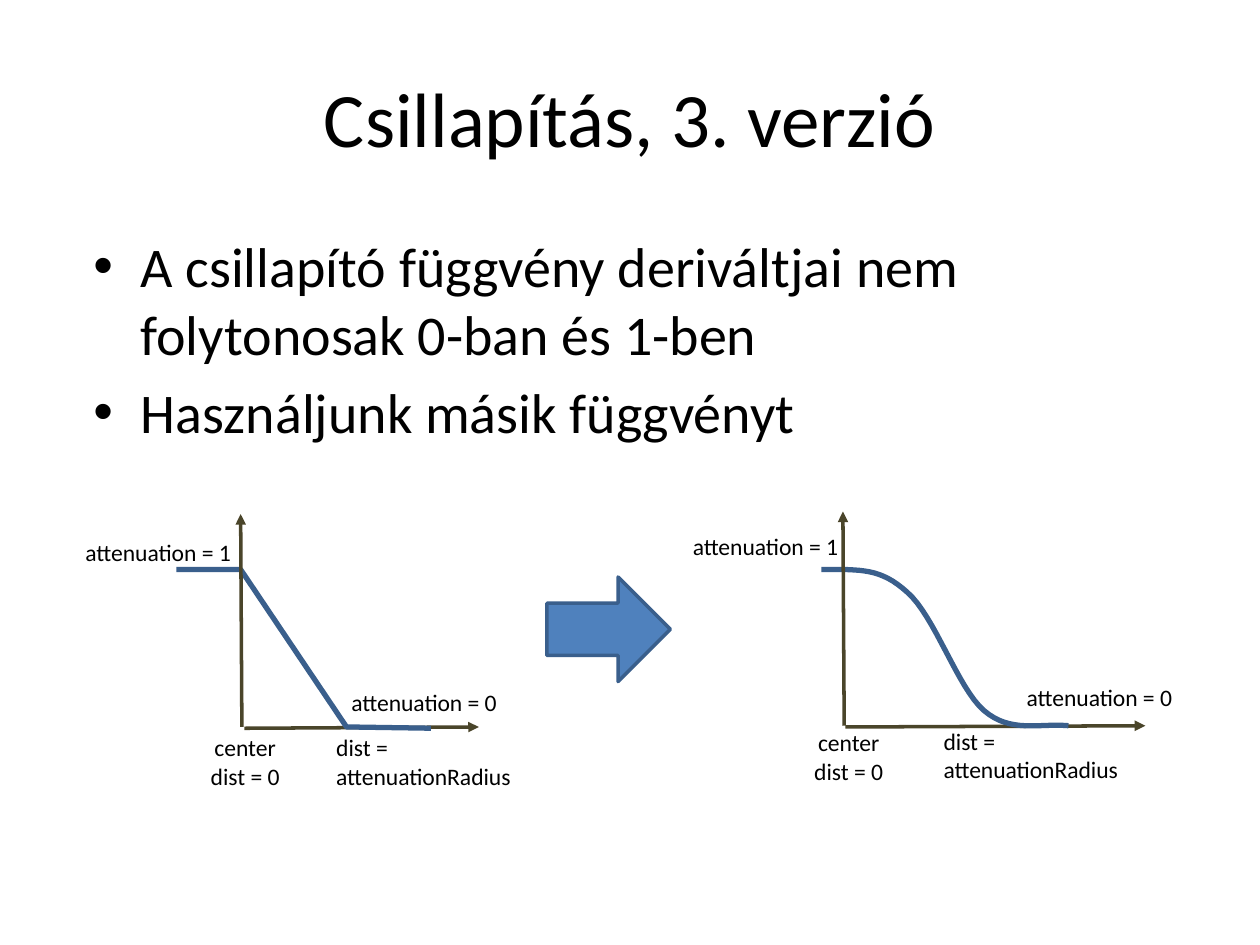
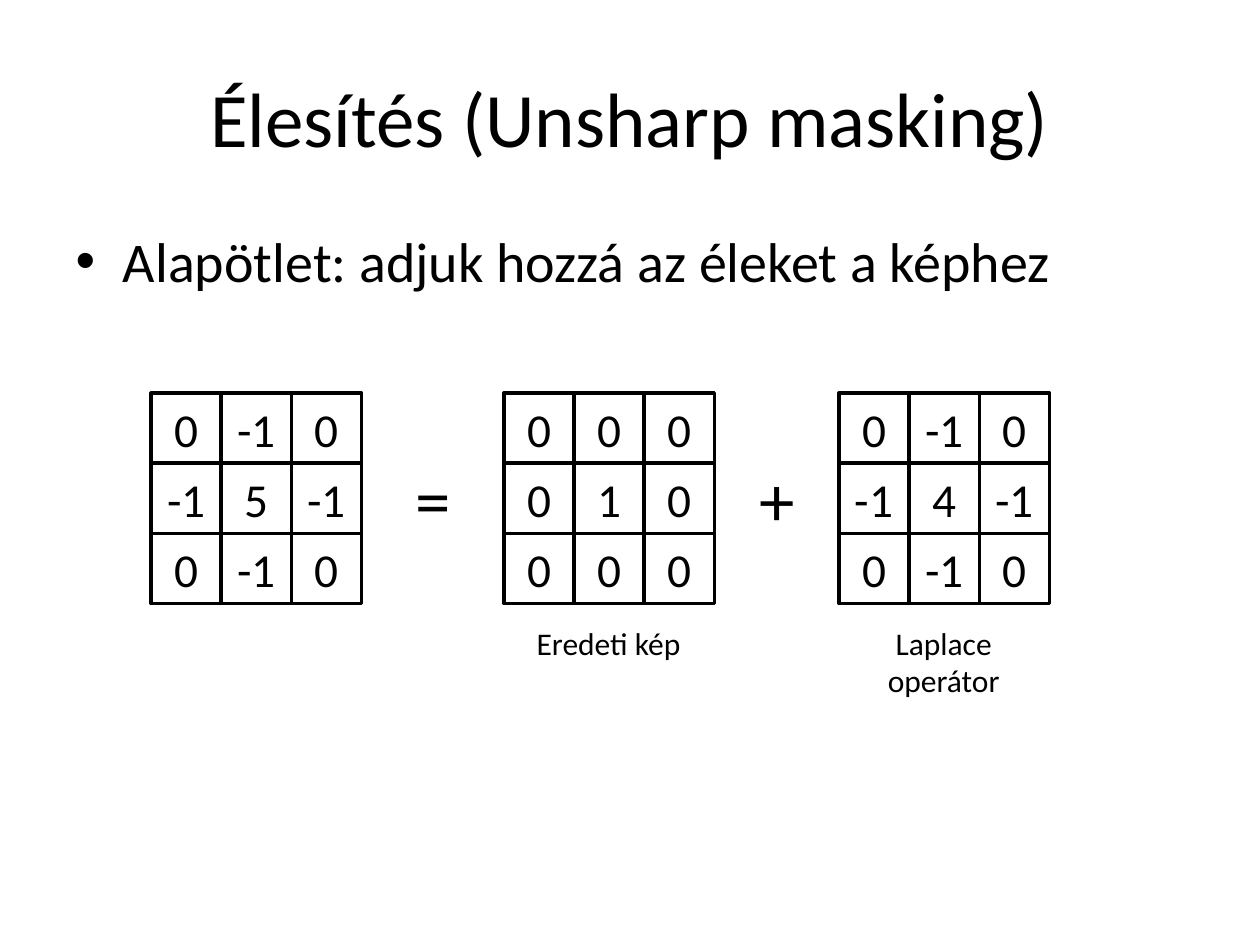
from dataclasses import dataclass

from lxml import etree
from pptx import Presentation
from pptx.dml.color import RGBColor
from pptx.enum import shapes, text
from pptx.oxml import ns
from pptx.util import Inches, Pt

FONT = "Calibri"
BLACK = RGBColor(0x00, 0x00, 0x00)
AXIS_BROWN = RGBColor(0x4A, 0x45, 0x2A)
CURVE_BLUE = RGBColor(0x3A, 0x5F, 0x8C)
ARROW_BLUE = RGBColor(0x4F, 0x81, 0xBD)

CENTER = text.PP_ALIGN.CENTER
LEFT = text.PP_ALIGN.LEFT
JUSTIFY = text.PP_ALIGN.JUSTIFY

TITLE_AREA = (0.5, 0.3, 9, 1.25)
CURVE_STEPS = 16
MATRIX_SIDE = 1.67
MATRIX_TOP = 3.12

Point = tuple[float, float]
Area = tuple[float, float, float, float]


@dataclass
class Label:
    lines: list[str]
    area: Area
    size: float = 13.5
    align: text.PP_ALIGN = CENTER


@dataclass
class Plot:
    """An attenuation graph: two axes, a curve and its labels."""
    x_axis: tuple[Point, Point]
    y_axis: tuple[Point, Point]
    curve: list[Point]
    center_at: Point
    radius_area: Area
    one_at: Point
    zero_at: Point

    def labels(self) -> list[Label]:
        return [
            Label(["center", "dist = 0"], (*self.center_at, 1.39, 0.56)),
            Label(["dist =", "attenuationRadius"], self.radius_area, align=JUSTIFY),
            Label(["attenuation = 1"], (*self.one_at, 1.39, 0.33)),
            Label(["attenuation = 0"], (*self.zero_at, 1.39, 0.33)),
        ]


@dataclass
class Matrix:
    left: float
    rows: list[list[int]]


def smooth_curve(anchors: list[Point]) -> list[Point]:
    """Sample a chain of cubic Bézier segments (start, then three points each)."""
    points = [anchors[0]]
    for first in range(0, len(anchors) - 1, 3):
        segment = anchors[first:first + 4]
        for step in range(1, CURVE_STEPS + 1):
            t = step / CURVE_STEPS
            weights = ((1 - t) ** 3, 3 * t * (1 - t) ** 2, 3 * t * t * (1 - t), t ** 3)
            points.append((sum(w * x for w, (x, _) in zip(weights, segment)),
                           sum(w * y for w, (_, y) in zip(weights, segment))))
    return points


PLOTS = [
    Plot(x_axis=((1.94, 5.78), (3.8, 5.77)), y_axis=((1.92, 5.77), (1.91, 4.08)),
         curve=[(3.42, 5.78), (2.75, 5.77), (1.91, 4.52), (1.4, 4.52)],
         center_at=(1.25, 5.77), radius_area=(2.57, 5.77, 1.65, 0.56),
         one_at=(0.56, 4.22), zero_at=(2.67, 5.41)),
    Plot(x_axis=((6.71, 5.77), (9.09, 5.76)), y_axis=((6.7, 5.76), (6.69, 4.06)),
         curve=smooth_curve([
             (8.48, 5.76), (8.24, 5.74), (8.02, 5.82), (7.81, 5.64), (7.6, 5.46),
             (7.42, 4.89), (7.2, 4.7), (6.99, 4.51), (6.84, 4.52), (6.52, 4.52)]),
         center_at=(6.04, 5.73), radius_area=(7.39, 5.72, 1.72, 0.56),
         one_at=(5.38, 4.17), zero_at=(8.03, 5.37)),
]

MATRICES = [
    Matrix(1.2, [[0, -1, 0], [-1, 5, -1], [0, -1, 0]]),
    Matrix(4, [[0, 0, 0], [0, 1, 0], [0, 0, 0]]),
    Matrix(6.66, [[0, -1, 0], [-1, 4, -1], [0, -1, 0]]),
]

MATRIX_LABELS = [
    Label(["="], (3.2, 3.57, 0.57, 0.78), 40.5, LEFT),
    Label(["+"], (5.93, 3.57, 0.57, 0.78), 40.5, LEFT),
    Label(["Eredeti kép"], (4.16, 4.9, 1.34, 0.71), 18),
    Label(["Laplace operátor"], (6.82, 4.9, 1.34, 0.71), 18),
]


def set_lines(frame, lines: list[str], size: float, align: text.PP_ALIGN) -> None:
    frame.text = "\n".join(lines)
    for para in frame.paragraphs:
        para.alignment = align
        para.font.name = FONT
        para.font.size = Pt(size)
        para.font.color.rgb = BLACK


def set_line(shape, color: RGBColor, width: float) -> None:
    shape.line.color.rgb = color
    shape.line.width = Pt(width)


def place(shape, area: Area) -> None:
    shape.left, shape.top, shape.width, shape.height = map(Inches, area)


def add_page(deck, title: str, bullets: list[str], body_area: Area):
    page = deck.slides.add_slide(deck.slide_layouts[1])
    heading, body = page.placeholders
    place(heading, TITLE_AREA)
    set_lines(heading.text_frame, [title], 44, CENTER)
    heading.text_frame.vertical_anchor = text.MSO_ANCHOR.MIDDLE
    place(body, body_area)
    set_lines(body.text_frame, bullets, 32, LEFT)
    body.text_frame.paragraphs[0].space_before = Pt(0)
    return page


def add_label(page, label: Label) -> None:
    box = page.shapes.add_textbox(*map(Inches, label.area))
    box.text_frame.word_wrap = True
    box.text_frame.auto_size = text.MSO_AUTO_SIZE.SHAPE_TO_FIT_TEXT
    set_lines(box.text_frame, label.lines, label.size, label.align)


def add_axis(page, start: Point, end: Point) -> None:
    axis = page.shapes.add_connector(
        shapes.MSO_CONNECTOR.STRAIGHT, *map(Inches, (*start, *end)))
    set_line(axis, AXIS_BROWN, 2)
    etree.SubElement(axis.line._get_or_add_ln(), ns.qn("a:tailEnd"), type="triangle")
    etree.SubElement(axis._element.spPr, ns.qn("a:effectLst"))


def add_curve(page, points: list[Point]) -> None:
    start, *rest = [(Inches(x), Inches(y)) for x, y in points]
    builder = page.shapes.build_freeform(*start)
    builder.add_line_segments(rest, close=False)
    curve = builder.convert_to_shape()
    curve.shadow.inherit = False
    curve.fill.background()
    set_line(curve, CURVE_BLUE, 3)


def add_plot(page, plot: Plot) -> None:
    add_axis(page, *plot.x_axis)
    add_curve(page, plot.curve)
    for label in plot.labels():
        add_label(page, label)
    add_axis(page, *plot.y_axis)


def add_matrix(page, matrix: Matrix) -> None:
    group = page.shapes.add_group_shape()
    side = Inches(MATRIX_SIDE) // 3
    for row, values in enumerate(matrix.rows):
        for column, value in enumerate(values):
            cell = group.shapes.add_shape(
                shapes.MSO_SHAPE.RECTANGLE, Inches(matrix.left) + column * side,
                Inches(MATRIX_TOP) + row * side, side, side)
            cell.shadow.inherit = False
            cell.fill.background()
            set_line(cell, BLACK, 2)
            set_lines(cell.text_frame, [str(value)], 27, CENTER)
            cell.text_frame.vertical_anchor = text.MSO_ANCHOR.MIDDLE


def add_attenuation_page(deck) -> None:
    page = add_page(
        deck, "Csillapítás, 3. verzió",
        ["A csillapító függvény deriváltjai nem folytonosak 0-ban és 1-ben",
         "Használjunk másik függvényt"],
        (0.64, 1.79, 8.73, 3.57))
    for plot in PLOTS:
        add_plot(page, plot)
    arrow = page.shapes.add_shape(
        shapes.MSO_SHAPE.RIGHT_ARROW, *map(Inches, (4.34, 4.58, 0.98, 0.83)))
    arrow.shadow.inherit = False
    arrow.fill.solid()
    arrow.fill.fore_color.rgb = ARROW_BLUE
    set_line(arrow, CURVE_BLUE, 2)


def add_sharpening_page(deck) -> None:
    page = add_page(
        deck, "Élesítés (Unsharp masking)",
        ["Alapötlet: adjuk hozzá az éleket a képhez"], (0.5, 1.75, 9, 4.95))
    for matrix in MATRICES:
        add_matrix(page, matrix)
    for label in MATRIX_LABELS:
        add_label(page, label)


def main() -> None:
    deck = Presentation()
    deck.slide_width, deck.slide_height = Inches(10), Inches(7.5)
    add_attenuation_page(deck)
    add_sharpening_page(deck)
    deck.save("out.pptx")


if __name__ == "__main__":
    main()
